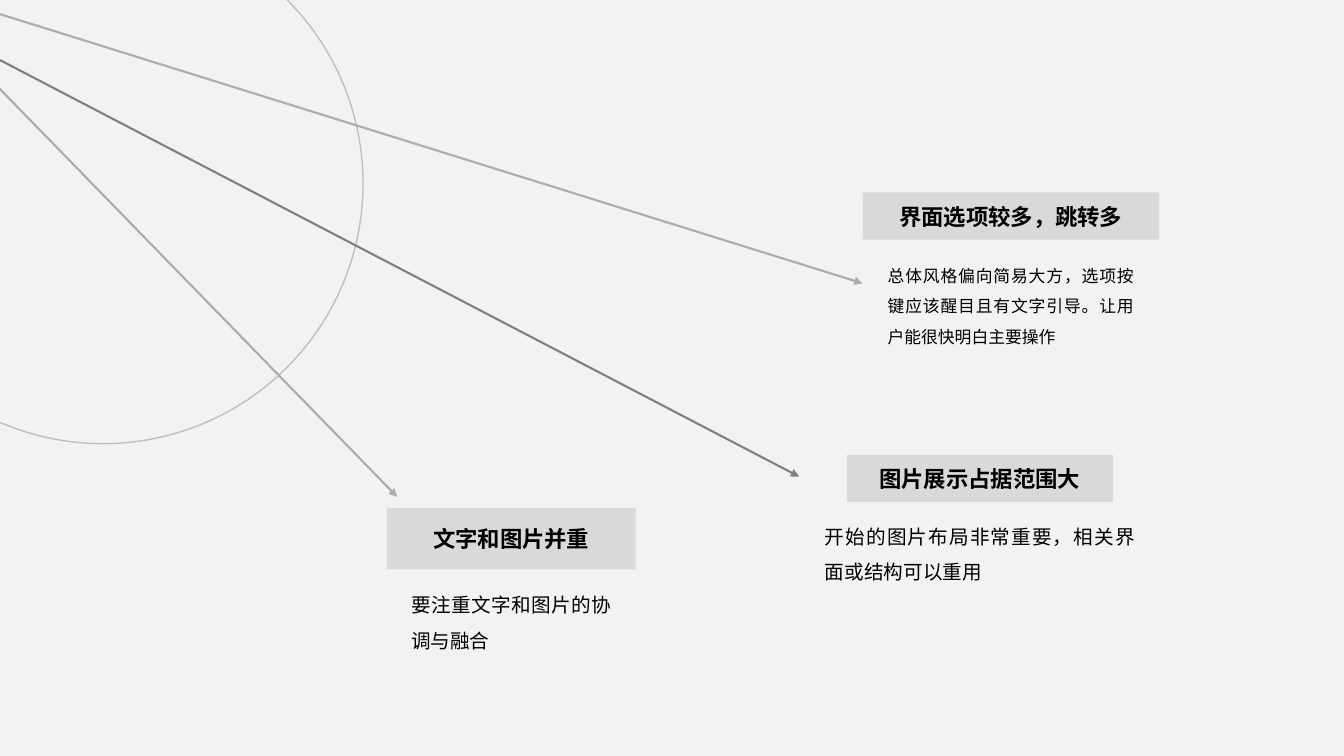
from lxml import etree
from pptx import Presentation
from pptx.dml.color import RGBColor
from pptx.enum.shapes import MSO_CONNECTOR as CONN, MSO_SHAPE as SHAPE
from pptx.enum.text import MSO_ANCHOR as ANCHOR, MSO_AUTO_SIZE as FIT, PP_ALIGN as ALIGN
from pptx.oxml.ns import qn
from pptx.util import Cm, Pt

FONT = "Noto Sans CJK SC"


def paint(color, value):
    """Set a colour from a hex string."""
    color.rgb = RGBColor.from_string(value)


def add_text(tf, text, size, align, bold=False):
    """Write one run into the first paragraph and return the paragraph."""
    tf.word_wrap = True
    p = tf.paragraphs[0]
    p.alignment = align
    r = p.add_run()
    r.text = text
    r.font.name, r.font.size, r.font.bold = FONT, Pt(size), bold
    paint(r.font.color, "000000")
    etree.SubElement(r.font._element, qn("a:ea")).set("typeface", FONT)
    return p


def add_circle(s, x, y, size):
    """Draw the outlined circle in a square box."""
    sp = s.shapes.add_shape(SHAPE.OVAL, Cm(x), Cm(y), Cm(size), Cm(size))
    sp.shadow.inherit = False
    sp.fill.background()
    sp.line.width = Pt(1)
    paint(sp.line.color, "BFBFBF")


def add_arrow(s, start, end, color):
    """Draw a straight arrow from start to end."""
    cx = s.shapes.add_connector(CONN.STRAIGHT, *map(Cm, start + end))
    cx.line.width = Pt(1.5)
    paint(cx.line.color, color)
    etree.SubElement(cx.line._get_or_add_ln(), qn("a:tailEnd")).set("type", "triangle")
    etree.SubElement(cx._element.spPr, qn("a:effectLst"))


def add_callout(s, box, title, body, size, inset, gap, body_height):
    """Fill the box with a heading and centre its body text beneath."""
    x, y, w, h = box
    sp = s.shapes.add_shape(SHAPE.RECTANGLE, *map(Cm, box))
    sp.shadow.inherit = False
    sp.fill.solid()
    paint(sp.fill.fore_color, "D9D9D9")
    sp.line.fill.background()
    sp.text_frame.vertical_anchor = ANCHOR.MIDDLE
    add_text(sp.text_frame, title, 16, ALIGN.CENTER, True)

    tb = s.shapes.add_textbox(Cm(x + inset), Cm(y + h + gap), Cm(w - 2 * inset), Cm(body_height))
    p = add_text(tb.text_frame, body, size, ALIGN.JUSTIFY)
    p.line_spacing = 1.5
    tb.text_frame.auto_size = FIT.SHAPE_TO_FIT_TEXT


def build_slide(prs):
    """Build the slide with three arrows leading to three callouts."""
    s = prs.slides.add_slide(prs.slide_layouts[6])
    s.background.fill.solid()
    paint(s.background.fill.fore_color, "F2F2F2")

    add_circle(s, -3.96, -1.93, 13.11)
    for y, end, color in (
        (0.3, (21.74, 7.14), "AFABAB"),
        (1.42, (20.14, 12.01), "808080"),
        (2.06, (10.01, 12.52), "AFABAB"),
    ):
        add_arrow(s, (-0.18, y), end, color)

    add_callout(s, (21.74, 4.85, 7.47, 1.19), "界面选项较多，跳转多",
                "总体风格偏向简易大方，选项按键应该醒目且有文字引导。让用户能很快明白主要操作",
                12, 0.38, 0.28, 2.46)
    add_callout(s, (21.34, 11.46, 6.71, 1.19), "图片展示占据范围大",
                "开始的图片布局非常重要，相关界面或结构可以重用",
                14, -0.8, 0.15, 1.96)
    add_callout(s, (9.75, 12.8, 6.27, 1.55), "文字和图片并重",
                "要注重文字和图片的协调与融合",
                14, 0.36, 0.18, 1.96)


def main():
    """Create and save the presentation."""
    prs = Presentation()
    prs.slide_width, prs.slide_height = Cm(33.87), Cm(19.05)
    build_slide(prs)
    prs.save("out.pptx")


if __name__ == "__main__":
    main()
